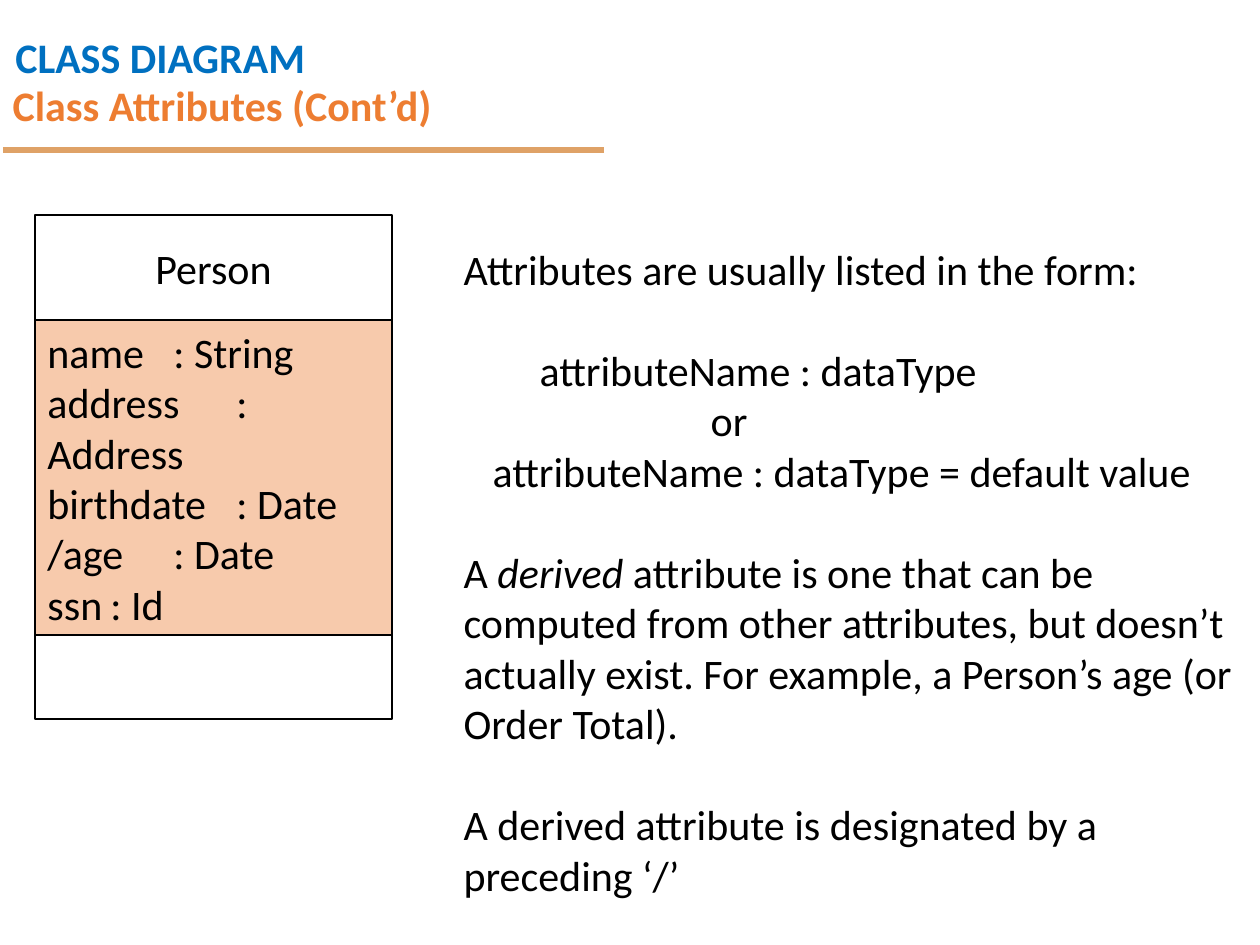
from dataclasses import dataclass

from lxml import etree
from pptx import Presentation
from pptx.dml.color import RGBColor
from pptx.enum.shapes import MSO_CONNECTOR, MSO_SHAPE
from pptx.enum.text import MSO_ANCHOR, MSO_AUTO_SIZE, PP_ALIGN
from pptx.oxml.ns import qn
from pptx.util import Emu, Pt

RECT, STRAIGHT = MSO_SHAPE.RECTANGLE, MSO_CONNECTOR.STRAIGHT
LEFT, CENTER = PP_ALIGN.LEFT, PP_ALIGN.CENTER
TOP, MIDDLE = MSO_ANCHOR.TOP, MSO_ANCHOR.MIDDLE


@dataclass(frozen=True)
class Theme:
    font: str = "Calibri"
    size: int = 24
    text: str = "000000"
    heading: str = "0070C0"
    title: str = "ED7D31"
    rule: str = "DFA267"
    plain: str = "FFFFFF"
    highlight: str = "F7CAAC"


THEME = Theme()
PX = 914400 / 126


def px(*lengths):
    return [Emu(round(n * PX)) for n in lengths]


def write(tf, text, color=THEME.text, bold=False, align=LEFT, spacing=1.0,
          before=0, indent=0, tab=None):
    """Add one paragraph; every second part between asterisks is italic."""
    p = tf.paragraphs[0]
    if p.runs:
        p = tf.add_paragraph()
    pPr = p._p.get_or_add_pPr()
    pPr.set("marL", str(px(indent)[0]))
    pPr.set("indent", "0")
    etree.SubElement(pPr, qn("a:buNone"))
    if tab:
        stops = etree.SubElement(pPr, qn("a:tabLst"))
        etree.SubElement(stops, qn("a:tab"), pos=str(px(tab)[0]), algn="l")
    p.alignment, p.line_spacing, p.space_before = align, spacing, Pt(before)
    for i, part in enumerate(text.split("*")):
        r = p.add_run()
        r.text = part
        r.font.name, r.font.size = THEME.font, Pt(THEME.size)
        r.font.bold, r.font.italic = bold, i % 2 == 1
        r.font.color.rgb = RGBColor.from_string(color)


prs = Presentation()
prs.slide_width, prs.slide_height = px(1260, 945)
s = prs.slides.add_slide(prs.slide_layouts[1])
title, body = s.placeholders

# Heading, rule and title
heading = s.shapes.add_textbox(*px(3, 0, 932, 89))
heading.text_frame.word_wrap = True
write(heading.text_frame, "CLASS DIAGRAM", color=THEME.heading, bold=True, spacing=1.5)

rule = s.shapes.add_connector(STRAIGHT, *px(3, 150, 604, 150))
rule.line.color.rgb = RGBColor.from_string(THEME.rule)
rule.line.width = Pt(3)
etree.SubElement(rule._element.spPr, qn("a:effectLst"))

title.left, title.top, title.width, title.height = px(0, 71, 1081, 73)
title.text_frame.vertical_anchor = MIDDLE
title.text_frame.auto_size = MSO_AUTO_SIZE.NONE
write(title.text_frame, "Class Attributes (Cont’d)", color=THEME.title, bold=True, spacing=0.9)

# Class box: name, attributes, empty operations
attributes = [("name", "String"), ("address", "Address"), ("birthdate", "Date"),
              ("/age", "Date"), ("ssn", "Id")]
compartments = [
    (105, THEME.plain, ["Person"], dict(align=CENTER)),
    (315, THEME.highlight, [f"{name}\t: {kind}" for name, kind in attributes], dict(tab=164)),
    (84, THEME.plain, [], {}),
]
top = 215
for height, fill, lines, fmt in compartments:
    sp = s.shapes.add_shape(RECT, *px(35, top, 357, height))
    sp.shadow.inherit = False
    sp.fill.solid()
    sp.fill.fore_color.rgb = RGBColor.from_string(fill)
    sp.line.color.rgb = RGBColor.from_string(THEME.text)
    sp.line.width = Pt(0.75)
    sp.text_frame.vertical_anchor = MIDDLE
    for line in lines:
        write(sp.text_frame, line, **fmt)
    top += height

# Explanation
body.left, body.top, body.width, body.height = px(451, 237, 796, 674)
tf = body.text_frame
tf.vertical_anchor = TOP
tf.auto_size = MSO_AUTO_SIZE.NONE
GAP = 29
write(tf, "Attributes are usually listed in the form:")
write(tf, "attributeName : dataType", before=GAP, indent=76)
write(tf, "or", indent=247)
write(tf, "attributeName : dataType = default value", indent=29)
write(tf, "A *derived* attribute is one that can be computed from other attributes, "
      "but doesn’t actually exist. For example, a Person’s age (or Order Total).", before=GAP)
write(tf, "A derived attribute is designated by a preceding ‘/’", before=GAP)

prs.save("out.pptx")
